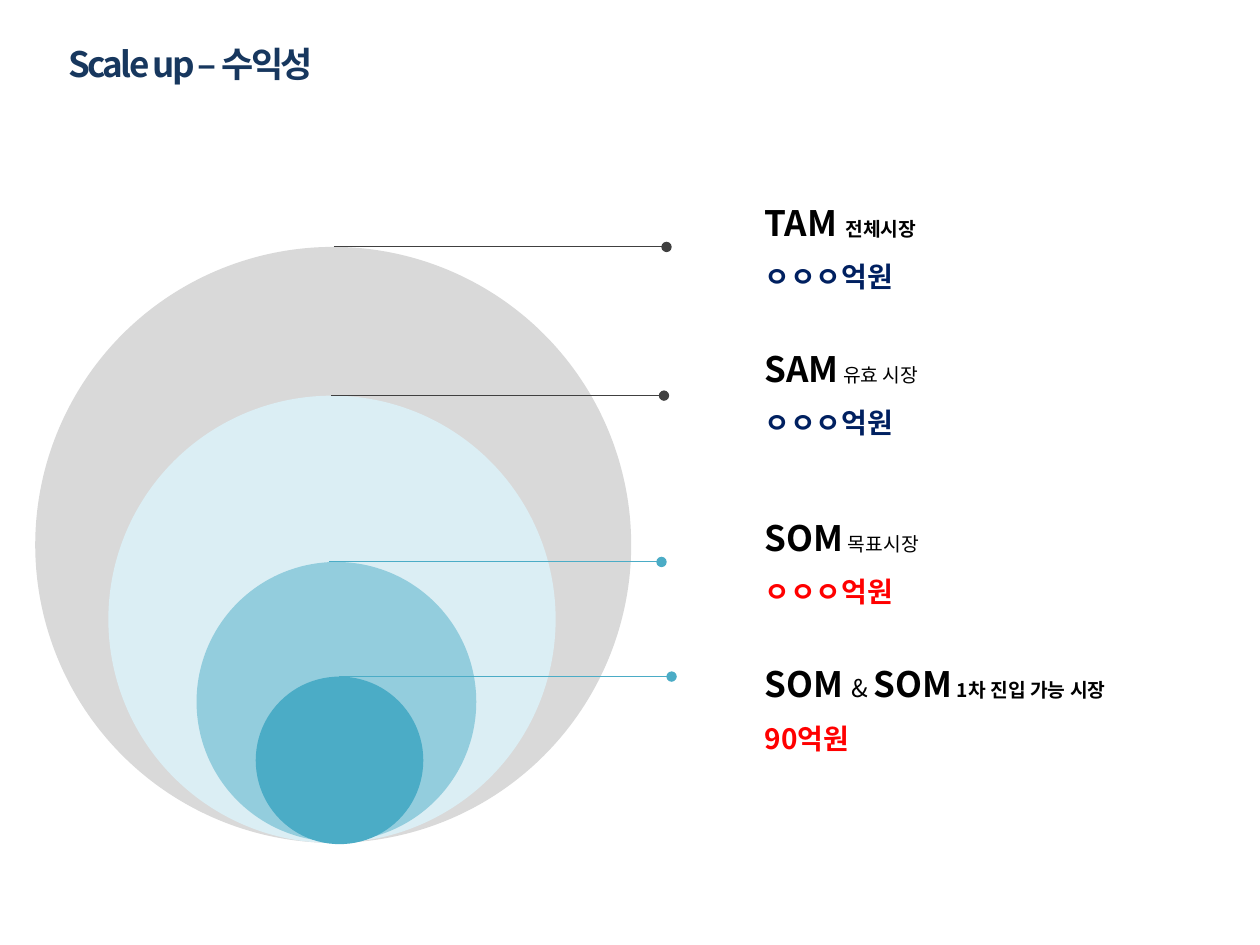
from lxml import etree
from pptx import Presentation
from pptx.dml.color import RGBColor
from pptx.enum.shapes import MSO_CONNECTOR, MSO_SHAPE
from pptx.enum.text import MSO_AUTO_SIZE
from pptx.oxml.ns import qn
from pptx.util import Inches, Pt

OVAL = MSO_SHAPE.OVAL
STRAIGHT = MSO_CONNECTOR.STRAIGHT
FIT_SHAPE = MSO_AUTO_SIZE.SHAPE_TO_FIT_TEXT
FONT = "Noto Sans CJK KR"
BLACK, NAVY, RED, GREY, TEAL = "000000", "002060", "FF0000", "404040", "4BACC6"
LEADER_LENGTH = 2.64
LABEL_LEFT = 5.97

MARKETS = [
    {"circle": (0.28, 1.96, 4.73, "D9D9D9"), "leader": (2.65, GREY),
     "label": (1.38, 3.56, 1.01),
     "heading": [("TAM ", 20, True), ("전체시장", 11, True)],
     "amount": ("ㅇㅇㅇ억원", NAVY)},
    {"circle": (0.86, 3.14, 3.55, "DBEEF4"), "leader": (2.63, GREY),
     "label": (2.54, 3.56, 0.96),
     "heading": [("SAM", 20, True), (" 유효 시장", 11, False)],
     "amount": ("ㅇㅇㅇ억원", NAVY)},
    {"circle": (1.56, 4.46, 2.22, "93CDDD"), "leader": (2.61, TEAL),
     "label": (3.88, 3.79, 1.01),
     "heading": [("SOM", 20, True), (" 목표시장", 11, False)],
     "amount": ("ㅇㅇㅇ억원", RED)},
    {"circle": (2.03, 5.37, 1.33, TEAL), "leader": (2.69, TEAL),
     "label": (5.04, 3.56, 1.01),
     "heading": [("SOM ", 20, True), ("& ", 14, False), ("SOM", 20, True),
                 (" 1차 진입 가능 시장", 11, True)],
     "amount": ("90억원", RED)},
]


def rgb(hex_color):
    """Turn a hex string into a colour."""
    return RGBColor.from_string(hex_color)


def add_market_circle(slide, left, top, diameter, color):
    """Draw one nested market circle."""
    circle = slide.shapes.add_shape(
        OVAL, Inches(left), Inches(top), Inches(diameter), Inches(diameter))
    circle.shadow.inherit = False
    circle.fill.solid()
    circle.fill.fore_color.rgb = rgb(color)
    circle.line.fill.background()


def add_leader(slide, left, top, color):
    """Draw a leader line that ends in a dot."""
    leader = slide.shapes.add_connector(
        STRAIGHT, Inches(left), Inches(top),
        Inches(left + LEADER_LENGTH), Inches(top))
    leader.line.color.rgb = rgb(color)
    leader.line.width = Pt(0.5)
    properties = leader._element.spPr
    etree.SubElement(properties.find(qn("a:ln")), qn("a:tailEnd"), type="oval")
    etree.SubElement(properties, qn("a:effectLst"))


def add_text_frame(slide, left, top, width, height, **frame_format):
    """Add a wrapping text box and return its text frame."""
    box = slide.shapes.add_textbox(
        Inches(left), Inches(top), Inches(width), Inches(height))
    frame = box.text_frame
    settings = {"word_wrap": True, "auto_size": FIT_SHAPE, **frame_format}
    for attribute, value in settings.items():
        setattr(frame, attribute, value)
    return frame


def add_run(paragraph, text, size, bold, color):
    """Add a formatted run to a paragraph and return it."""
    run = paragraph.add_run()
    run.text = text
    settings = {"name": FONT, "size": Pt(size), "bold": bold}
    for attribute, value in settings.items():
        setattr(run.font, attribute, value)
    run.font.color.rgb = rgb(color)
    etree.SubElement(run.font._element, qn("a:ea"), typeface=FONT)
    return run


def add_title(slide, text):
    """Add the tightly spaced slide title."""
    frame = add_text_frame(
        slide, 0.54, 0.34, 3.13, 0.34, margin_left=0, margin_right=0,
        margin_top=0, margin_bottom=0)
    run = add_run(frame.paragraphs[0], text, 20, True, "17375E")
    run.font._element.set("spc", "-150")


def add_market_label(slide, position, heading, amount):
    """Add a market heading with its amount underneath."""
    frame = add_text_frame(slide, LABEL_LEFT, *position)
    heading_line, amount_line = frame.paragraphs[0], frame.add_paragraph()
    for line in (heading_line, amount_line):
        line.line_spacing = 1.5
    for text, size, bold in heading:
        add_run(heading_line, text, size, bold, BLACK)
    amount_text, amount_color = amount
    add_run(amount_line, amount_text, 16, True, amount_color)


def main():
    """Build the market size slide."""
    presentation = Presentation()
    presentation.slide_width = Inches(10)
    presentation.slide_height = Inches(7.5)
    slide = presentation.slides.add_slide(presentation.slide_layouts[6])
    for market in MARKETS:
        add_market_circle(slide, *market["circle"])
        add_market_label(
            slide, market["label"], market["heading"], market["amount"])
    for market in MARKETS:
        leader_left, leader_color = market["leader"]
        circle_top = market["circle"][1]
        add_leader(slide, leader_left, circle_top, leader_color)
    add_title(slide, "Scale up – 수익성")
    presentation.save("out.pptx")


if __name__ == "__main__":
    main()
